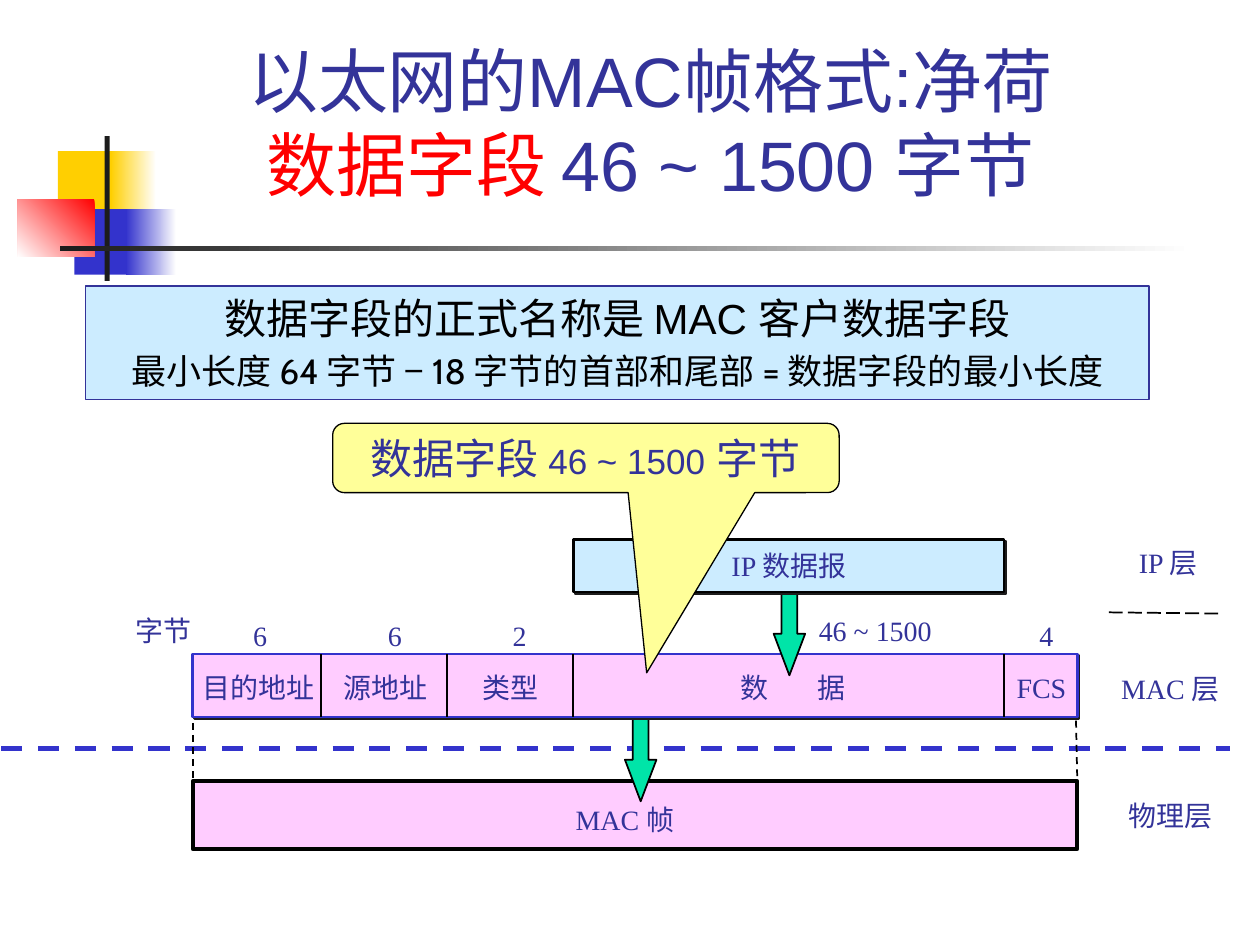
from dataclasses import dataclass

from lxml import etree
from pptx import Presentation
from pptx.dml.color import RGBColor
from pptx.enum.dml import MSO_LINE as Dash
from pptx.enum.shapes import MSO_CONNECTOR, MSO_SHAPE as Shape
from pptx.enum.text import MSO_ANCHOR as Anchor, PP_ALIGN as Align
from pptx.oxml.ns import qn
from pptx.util import Inches, Pt


@dataclass(frozen=True)
class Theme:
    ink: str = "333399"
    black: str = "000000"
    white: str = "FFFFFF"
    red: str = "FF0000"
    blue: str = "3333CC"
    gold: str = "FFCF01"
    dark: str = "1C1C1C"
    pink: str = "FFCCFF"
    sky: str = "CCECFF"
    cream: str = "FFFF99"
    green: str = "00E4A8"
    sans: str = "Arial"
    note: str = "Cabin"
    serif: str = "Times New Roman"
    title: int = 40
    large: int = 24
    medium: int = 20
    small: int = 16


THEME = Theme()


def rgb(value):
    return RGBColor.from_string(value)


def add_box(page, at, fill=None, line=None, width=1, kind=Shape.RECTANGLE, adjust=()):
    box = page.shapes.add_shape(kind, *map(Inches, at))
    box.shadow.inherit = False
    for index, value in enumerate(adjust):
        box.adjustments[index] = value
    if fill:
        box.fill.solid()
        box.fill.fore_color.rgb = rgb(fill)
    else:
        box.fill.background()
    if line:
        box.line.color.rgb = rgb(line)
        box.line.width = Pt(width)
    else:
        box.line.fill.background()
    return box


def add_gradient(page, at, start, end, angle):
    box = add_box(page, at)
    box.fill.gradient()
    box.fill.gradient_angle = 360 - angle
    for stop, color, position in zip(box.fill.gradient_stops, (start, end), (0, 1)):
        stop.color.rgb = rgb(color)
        stop.position = position


def add_hard_shadow(box):
    effects = box._element.spPr.find(qn("a:effectLst"))
    shadow = etree.SubElement(effects, qn("a:outerShdw"), blurRad="0",
                              dist=str(Pt(1.4)), dir=str(45 * 60000),
                              algn="ctr", rotWithShape="0")
    etree.SubElement(shadow, qn("a:srgbClr"), val=THEME.dark)


def add_line(page, start, end, color=THEME.black, width=1, dash=None):
    line = page.shapes.add_connector(MSO_CONNECTOR.STRAIGHT, *map(Inches, start + end))
    line.line.color.rgb = rgb(color)
    line.line.width = Pt(width)
    if dash:
        line.line.dash_style = dash
    etree.SubElement(line._element.spPr, qn("a:effectLst"))


def set_frame(box, wrap=True, anchor=Anchor.TOP):
    frame = box.text_frame
    frame.word_wrap = wrap
    frame.vertical_anchor = anchor
    return frame


def style(para, size, font, color=THEME.ink, align=Align.CENTER):
    para.alignment = align
    para.font.size = Pt(size)
    para.font.name = font
    para.font.color.rgb = rgb(color)


def add_span(para, text, size=None, font=None, color=None):
    span = para.add_run()
    span.text = text
    if size:
        span.font.size = Pt(size)
    if font:
        span.font.name = font
    if color:
        span.font.color.rgb = rgb(color)


def add_label(page, text, left, top, width, tab=None):
    box = page.shapes.add_textbox(*map(Inches, (left, top, width, 0.36)))
    frame = set_frame(box)
    frame.margin_right = 0  # room to keep each label on one line
    para = frame.paragraphs[0]
    para.text = text
    if tab:
        tabs = etree.SubElement(para._p.get_or_add_pPr(), qn("a:tabLst"))
        etree.SubElement(tabs, qn("a:tab"), pos=str(Inches(tab)), algn="l")
    style(para, THEME.small, THEME.serif, align=Align.LEFT)


def add_down_arrow(page, left, top):
    add_box(page, (left, top, 0.25, 0.67), THEME.green, THEME.black,
            kind=Shape.DOWN_ARROW, adjust=(0.5, 1.32))


def draw_ornament(page):
    add_box(page, (0.46, 1.2, 0.48, 0.52), THEME.gold)
    add_gradient(page, (0.88, 1.2, 0.36, 0.52), THEME.white, THEME.gold, 180)
    add_box(page, (0.59, 1.66, 0.46, 0.52), THEME.blue)
    add_gradient(page, (1, 1.66, 0.4, 0.52), THEME.white, THEME.blue, 180)
    add_gradient(page, (0.14, 1.58, 0.61, 0.46), THEME.red, THEME.white, 135)
    add_box(page, (0.83, 1.08, 0.04, 1.15), THEME.dark)
    add_gradient(page, (0.48, 1.95, 9, 0.04), THEME.white, THEME.dark, 180)


def draw_physical_layer(page):
    add_line(page, (0.01, 5.94), (9.76, 5.94), THEME.blue, 3, Dash.DASH)
    add_box(page, (1.53, 6.2, 7.02, 0.54), THEME.pink, THEME.black, 2.25)
    add_label(page, "MAC 帧", 4.47, 6.32, 1.03)
    add_line(page, (1.53, 5.64), (1.53, 6.2), dash=Dash.DASH)
    add_line(page, (8.54, 5.72), (8.55, 6.2), dash=Dash.DASH)


def draw_layer_names(page):
    for text, left, top, width in (("物理层", 8.86, 6.29, 0.86),
                                   ("MAC 层", 8.8, 5.28, 1.03),
                                   ("IP 层", 8.94, 4.28, 0.73)):
        add_label(page, text, left, top, width)
    add_line(page, (8.8, 4.86), (9.7, 4.87), dash=Dash.LONG_DASH)


def draw_mac_fields(page):
    top, height = 5.19, 0.5
    add_down_arrow(page, 4.96, 5.69)
    add_hard_shadow(add_box(page, (1.53, top, 7.02, height), THEME.pink, THEME.blue, 1.5))
    for x in (2.55, 3.55, 4.55, 7.97):
        add_line(page, (x, top), (x, top + height))
    # Field names
    for text, left, width in (("目的地址", 1.51, 1.09), ("源地址", 2.63, 0.86),
                              ("类型", 3.73, 0.64), ("FCS", 7.97, 0.59)):
        add_label(page, text, left, 5.27, width)
    add_label(page, "数\t据", 5.78, 5.27, 1.04, tab=0.61)
    # Field lengths
    for text, left in (("6", 1.91), ("6", 2.98), ("2", 3.97), ("4", 8.15)):
        add_label(page, text, left, 4.86, 0.31)
    add_label(page, "字节", 0.98, 4.82, 0.64)
    add_label(page, "46 ~ 1500", 6.4, 4.82, 1.09)


def draw_ip_datagram(page):
    add_down_arrow(page, 6.14, 4.69)
    box = add_box(page, (4.55, 4.28, 3.42, 0.42), THEME.sky, THEME.black, 1.5)
    add_hard_shadow(box)
    para = set_frame(box, anchor=Anchor.MIDDLE).paragraphs[0]
    para.text = "IP 数据报"
    style(para, THEME.small, THEME.serif)


def draw_title(page):
    box = page.shapes.add_textbox(*map(Inches, (0.9, 0.21, 8.52, 1.47)))
    para = set_frame(box, anchor=Anchor.BOTTOM).paragraphs[0]
    style(para, THEME.title, THEME.sans)
    add_span(para, "以太网的MAC帧格式:净荷")
    para.add_line_break()
    add_span(para, "数据字段 ", color=THEME.red)
    add_span(para, "46 ~ 1500 字节")


def draw_callout(page):
    box = add_box(page, (2.64, 3.36, 4.02, 0.55), THEME.cream, THEME.black, 0.75,
                  Shape.ROUNDED_RECTANGULAR_CALLOUT, (0.12, 3.1, 0.17))
    para = set_frame(box).paragraphs[0]
    style(para, THEME.large, THEME.sans)
    add_span(para, "数据字段 ")
    add_span(para, "46 ~ 1500", size=THEME.medium)
    add_span(para, " 字节")


def draw_note(page):
    box = add_box(page, (0.68, 2.27, 8.44, 0.9), THEME.sky, THEME.ink, 0.75)
    frame = set_frame(box, wrap=False)
    rows = ((THEME.large, "数据字段的正式名称是 ", "MAC ", "客户数据字段"),
            (THEME.medium, "最小长度 64 字节 ", "− ",
             "18 字节的首部和尾部 = 数据字段的最小长度"))
    for index, (size, before, middle, after) in enumerate(rows):
        para = frame.add_paragraph() if index else frame.paragraphs[0]
        para.space_before = Pt(4 * index)
        style(para, size, THEME.note, THEME.black)
        add_span(para, before)
        add_span(para, middle, font=THEME.sans)
        add_span(para, after)


def main():
    deck = Presentation()
    deck.slide_width, deck.slide_height = Inches(10), Inches(7.5)
    page = deck.slides.add_slide(deck.slide_layouts[6])
    for draw in (draw_ornament, draw_physical_layer, draw_layer_names, draw_mac_fields,
                 draw_ip_datagram, draw_title, draw_callout, draw_note):
        draw(page)
    deck.save("out.pptx")


if __name__ == "__main__":
    main()
